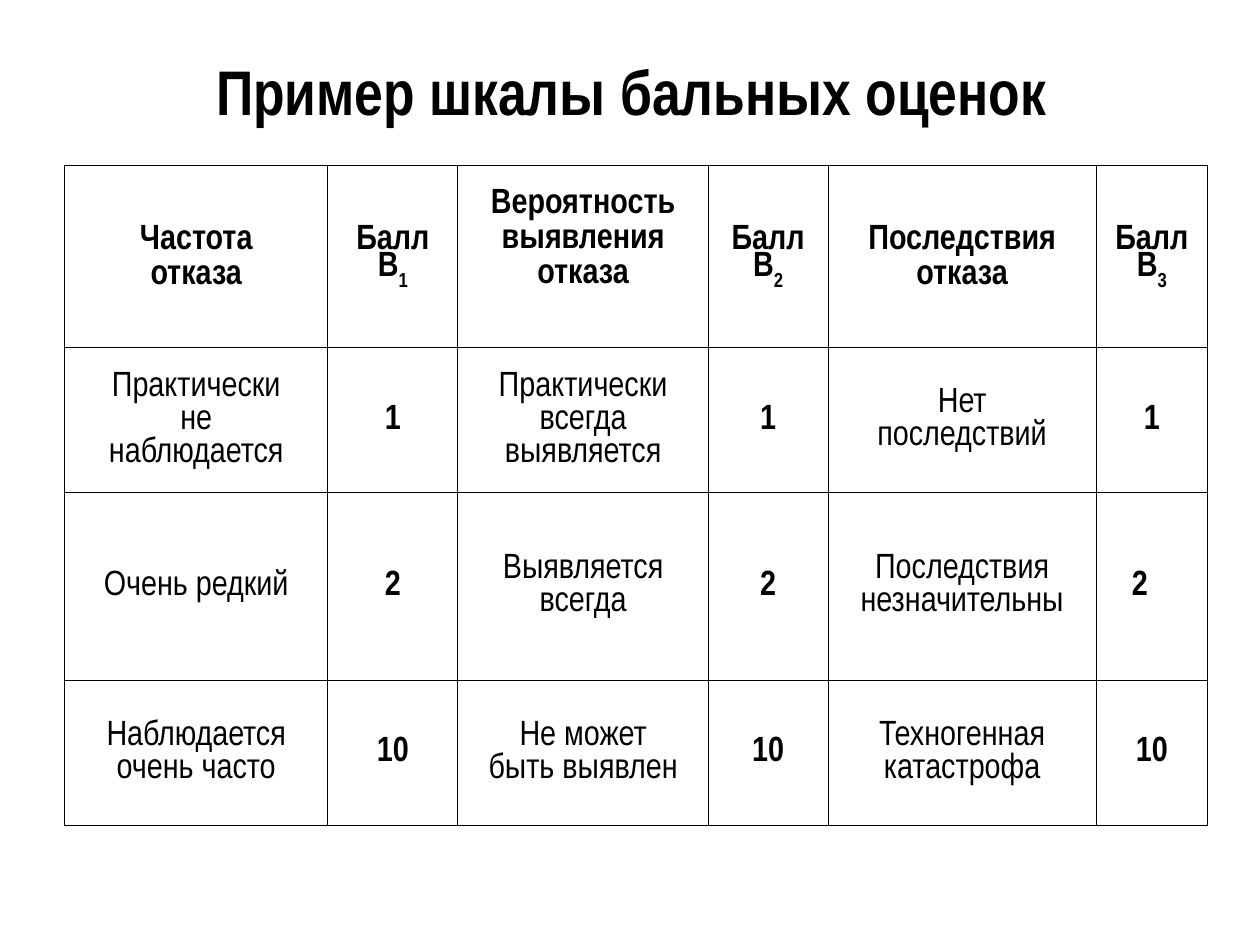
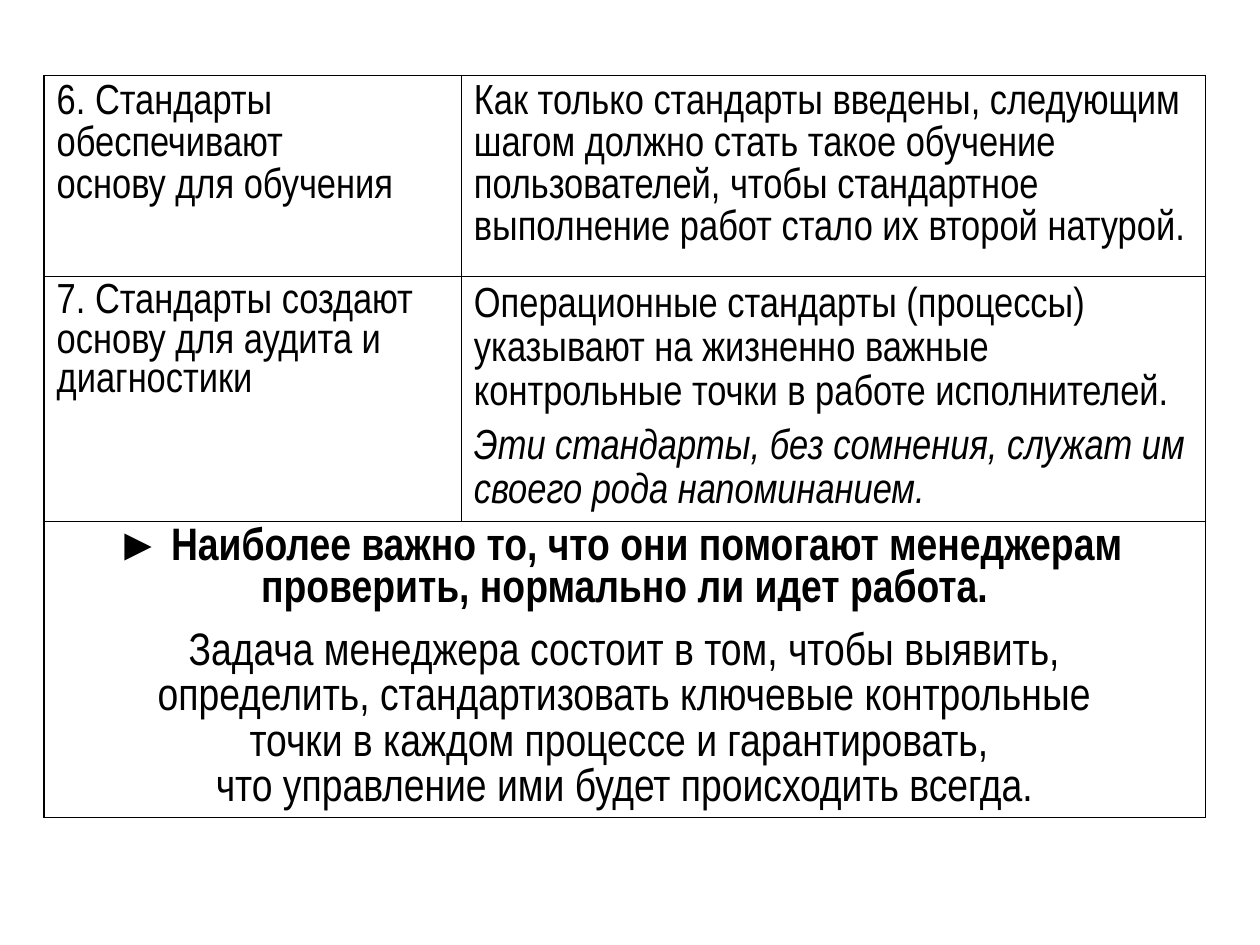
"""Builds two slides with bordered tables: a failure rating scale and the role of standards."""
from dataclasses import dataclass
from typing import Optional

import pptx
import pptx.dml.color
import pptx.enum.text
import pptx.oxml
import pptx.oxml.ns
import pptx.presentation
import pptx.slide
import pptx.table
import pptx.text.text
import pptx.util

Cm, Pt = pptx.util.Cm, pptx.util.Pt
ALIGN, ANCHOR = pptx.enum.text.PP_ALIGN, pptx.enum.text.MSO_ANCHOR


@dataclass(frozen=True)
class Theme:
    font: str = "Arial Narrow"
    ink: str = "000000"
    paper: str = "FFFFFF"
    title: float = 36
    scale: float = 20
    body: float = 24
    summary: float = 26
    thin: float = 0.45
    thick: float = 1.08


THEME = Theme()


@dataclass(frozen=True)
class Para:
    text: str
    size: float
    bold: bool = False
    italic: bool = False
    align: ALIGN = ALIGN.LEFT
    line: Optional[float] = None
    before: float = 0
    subscript: str = ""


@dataclass(frozen=True)
class Cell:
    paras: list[Para]
    anchor: ANCHOR = ANCHOR.TOP
    right: float = 0.25
    bottom: float = 0.13
    span: int = 1


@dataclass(frozen=True)
class Grid:
    left: float
    top: float
    cols: list[float]
    rows: list[float]
    cells: list[list[Cell]]
    frame: float


def write_para(p: pptx.text.text._Paragraph, para: Para) -> None:
    p.alignment = para.align
    p.space_before = Pt(para.before)
    if para.line:
        p.line_spacing = Pt(para.line)
    f = p.font
    f.name, f.size, f.bold, f.italic = THEME.font, Pt(para.size), para.bold, para.italic
    f.color.rgb = pptx.dml.color.RGBColor.from_string(THEME.ink)
    for i, part in enumerate(para.text.split("\v")):
        if i:
            p.add_line_break()
        p.add_run().text = part
    if para.subscript:
        r = p.add_run()
        r.text = para.subscript
        r.font._element.set("baseline", "-30000")


def write_paras(tf: pptx.text.text.TextFrame, paras: list[Para]) -> None:
    for i, para in enumerate(paras):
        write_para(tf.add_paragraph() if i else tf.paragraphs[0], para)


def set_borders(cell: pptx.table._Cell, widths: dict[str, float]) -> None:
    tc_pr = cell._tc.get_or_add_tcPr()
    for i, (side, width) in enumerate(widths.items()):
        tc_pr.insert(i, pptx.oxml.parse_xml(
            f'<a:ln{side} {pptx.oxml.ns.nsdecls("a")} w="{Pt(width)}"><a:solidFill>'
            f'<a:srgbClr val="{THEME.ink}"/></a:solidFill></a:ln{side}>'))


def add_grid(s: pptx.slide.Slide, grid: Grid) -> None:
    n_rows, n_cols = len(grid.rows), len(grid.cols)
    table = s.shapes.add_table(n_rows, n_cols, Cm(grid.left), Cm(grid.top),
                               Cm(sum(grid.cols)), Cm(sum(grid.rows))).table
    table.first_row = table.horz_banding = False
    for col, width in zip(table.columns, grid.cols):
        col.width = Cm(width)
    for row, height in zip(table.rows, grid.rows):
        row.height = Cm(height)
    for i in range(n_rows):
        for j in range(n_cols):
            cell = table.cell(i, j)
            cell.fill.solid()
            cell.fill.fore_color.rgb = pptx.dml.color.RGBColor.from_string(THEME.paper)
            edges = {"L": j == 0, "R": j == n_cols - 1, "T": i == 0, "B": i == n_rows - 1}
            set_borders(cell, {side: grid.frame if outer else THEME.thin
                               for side, outer in edges.items()})
    for i, row in enumerate(grid.cells):
        for j, spec in enumerate(row):
            cell = table.cell(i, j)
            if spec.span > 1:
                cell.merge(table.cell(i, j + spec.span - 1))
            cell.vertical_anchor = spec.anchor
            cell.margin_right, cell.margin_bottom = Cm(spec.right), Cm(spec.bottom)
            write_paras(cell.text_frame, spec.paras)


def scale_cell(text: str, bold: bool, line: Optional[float] = None, subscript: str = "",
               right: float = 0.25, bottom: float = 0.13) -> Cell:
    lines = text.split("\n")
    paras = [Para(t, THEME.scale, bold, align=ALIGN.CENTER, line=line,
                  subscript=subscript if t == lines[-1] else "") for t in lines]
    return Cell(paras, ANCHOR.MIDDLE, right, bottom)


def scale_slide(prs: pptx.presentation.Presentation) -> None:
    s = prs.slides.add_slide(prs.slide_layouts[5])
    title = s.shapes.title
    title.left, title.top, title.width, title.height = Cm(1.3), Cm(0.71), Cm(22.86), Cm(2.21)
    title.text_frame.vertical_anchor = ANCHOR.MIDDLE
    write_paras(title.text_frame, [Para("Пример шкалы бальных оценок", THEME.title, True,
                                        align=ALIGN.CENTER)])

    header = []
    criteria = [("Частота\nотказа", 0.13), ("Вероятность\nвыявления\nотказа", 0.84),
                ("Последствия\nотказа", 0.13)]
    for number, (criterion, bottom) in enumerate(criteria, 1):
        header += [scale_cell(criterion, True, THEME.scale, bottom=bottom),
                   scale_cell("Балл\nВ", True, THEME.scale, str(number))]
    ratings = [
        ("1", "Практически\nне\nнаблюдается", "Практически\nвсегда\nвыявляется",
         "Нет\nпоследствий"),
        ("2", "Очень редкий", "Выявляется\nвсегда", "Последствия\nнезначительны"),
        ("10", "Наблюдается\nочень часто", "Не может\nбыть выявлен",
         "Техногенная\nкатастрофа"),
    ]
    rows = [[cell for text in texts for cell in (scale_cell(text, False), scale_cell(score, True))]
            for score, *texts in ratings]
    rows[1][-1] = scale_cell("2", True, right=0.74)
    add_grid(s, Grid(1.3, 3.33, [5.31, 2.62, 5.05, 2.41, 5.41, 2.24],
                     [3.68, 2.92, 3.78, 2.92], [header, *rows], THEME.thin))


def summary_para(text: str, bold: bool = False, before: float = 0) -> Para:
    return Para(text, THEME.summary, bold, align=ALIGN.CENTER,
                line=24 if bold else 26, before=before)


def standards_slide(prs: pptx.presentation.Presentation) -> None:
    s = prs.slides.add_slide(prs.slide_layouts[6])
    size = THEME.body
    training = [
        Cell([Para("6. Стандарты обеспечивают\vоснову для обучения", size, line=24)]),
        Cell([Para("Как только стандарты введены, следующим шагом должно стать такое обучение "
                   "пользователей, чтобы стандартное выполнение работ стало их второй натурой.",
                   size, line=24)]),
    ]
    audit = [
        Cell([Para("7. Стандарты создают основу для аудита и диагностики", size)]),
        Cell([Para("Операционные стандарты (процессы) указывают на жизненно важные "
                   "контрольные точки в работе исполнителей.", size, line=25),
              Para("Эти стандарты, без сомнения, служат им своего рода напоминанием.",
                   size, italic=True, line=25, before=6)]),
    ]
    summary = [Cell([
        summary_para("► Наиболее важно то, что они помогают менеджерам ", True),
        summary_para("проверить, нормально ли идет работа.", True),
        summary_para("Задача менеджера состоит в том, чтобы выявить,", before=10),
        summary_para("определить, стандартизовать ключевые контрольные"),
        summary_para("точки в каждом процессе и гарантировать, "),
        summary_para("что управление ими будет происходить всегда."),
    ], ANCHOR.MIDDLE, span=2)]
    add_grid(s, Grid(0.89, 1.52, [8.41, 15], [4.06, 4.93, 5.97],
                     [training, audit, summary], THEME.thick))


def main() -> None:
    prs = pptx.Presentation()
    prs.slide_width, prs.slide_height = Cm(25.4), Cm(19.05)
    scale_slide(prs)
    standards_slide(prs)
    prs.save("out.pptx")


if __name__ == "__main__":
    main()
